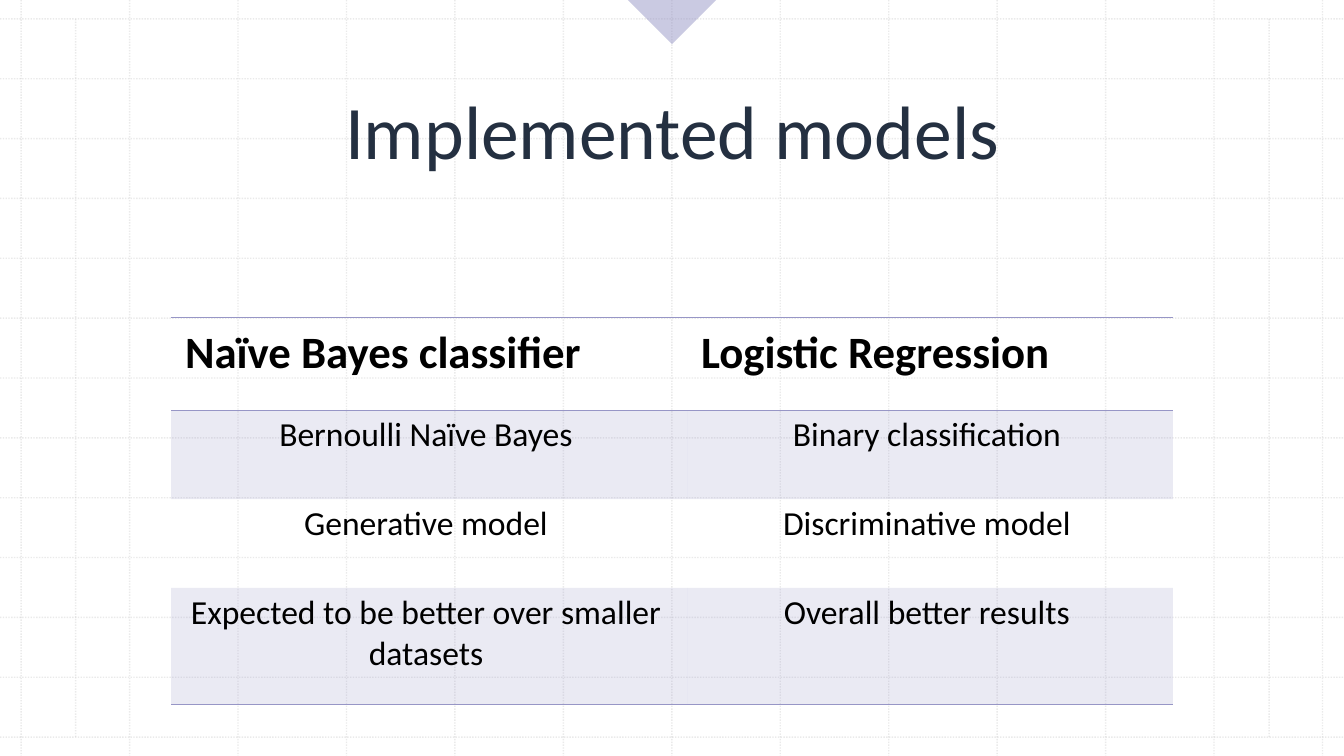
from dataclasses import dataclass
from pptx import Presentation
from pptx import util as u
from pptx.dml.color import RGBColor
from pptx.enum import dml, shapes, text
from pptx.oxml import parse_xml
from pptx.oxml.ns import qn

NS = 'xmlns:a="http://schemas.openxmlformats.org/drawingml/2006/main"'
NO_STYLE = "{2D5ABB26-0587-4C30-8999-92F81FD0307C}"
FONT = "Calibri"
COLORS = {"paper": "FFFFFF", "grid": "BCBCBC", "accent": "9796C6",
          "title": "243041", "text": "000000"}
WIDTH, HEIGHT = 960, 540
LEFT, RIGHT, TOP, BOTTOM = 15.12, 944.64, 13.5, 526.5
STEPS = 12


@dataclass
class GridLine:
    x1: float
    y1: float
    x2: float
    y2: float


@dataclass
class Row:
    height: float
    cells: tuple[str, str]
    header: bool = False
    shaded: bool = False
    borders: str = ""


def color(name: str) -> RGBColor:
    return RGBColor.from_string(COLORS[name])


def set_alpha(fill, percent: int) -> None:
    clr = fill._xPr.find(qn("a:solidFill"))[0]
    clr.append(parse_xml(f'<a:alpha {NS} val="{percent * 1000}"/>'))


def write(tf, content: str, *, size: float, ink: str = "text", bold: bool = False,
          align=text.PP_ALIGN.CENTER) -> None:
    p = tf.paragraphs[0]
    p.alignment = align
    r = p.add_run()
    r.text = content
    r.font.name, r.font.size, r.font.bold = FONT, u.Pt(size), bold
    r.font.color.rgb = color(ink)


def draw_grid_line(s, g: GridLine) -> None:
    sp = s.shapes.add_connector(shapes.MSO_CONNECTOR.STRAIGHT,
                                *map(u.Pt, (g.x1, g.y1, g.x2, g.y2)))
    sp.line.color.rgb = color("grid")
    sp.line.width = u.Pt(1)
    sp.line.dash_style = dml.MSO_LINE.ROUND_DOT
    set_alpha(sp.line.fill, 30)
    sp._element.spPr.append(parse_xml(f"<a:effectLst {NS}/>"))


def draw_marker(s) -> None:
    side = 44.6
    sp = s.shapes.add_shape(shapes.MSO_SHAPE.RIGHT_TRIANGLE, u.Pt((WIDTH - side) / 2),
                            u.Pt(-side / 2), u.Pt(side), u.Pt(side))
    sp.rotation = 315
    sp.shadow.inherit = False
    sp.fill.solid()
    sp.fill.fore_color.rgb = color("accent")
    set_alpha(sp.fill, 50)
    sp.line.fill.background()


def add_border(cell, side: str) -> None:
    cell._tc.get_or_add_tcPr().insert(0, parse_xml(
        f'<a:ln{side} {NS} w="12700"><a:solidFill><a:srgbClr val="{COLORS["accent"]}"/>'
        f'</a:solidFill></a:ln{side}>'))


def fill_cell(cell, content: str, row: Row) -> None:
    cell.margin_left, cell.margin_top = u.Pt(10), u.Pt(3)
    cell.margin_right, cell.margin_bottom = u.Pt(14.4), u.Pt(21.6)
    if row.shaded:
        cell.fill.solid()
        cell.fill.fore_color.rgb = color("accent")
        set_alpha(cell.fill, 20)
    else:
        cell.fill.background()
    for side in row.borders:
        add_border(cell, side)
    if row.header:
        cell.vertical_anchor = text.MSO_ANCHOR.BOTTOM
        write(cell.text_frame, content, size=32, bold=True, align=text.PP_ALIGN.LEFT)
    else:
        cell.vertical_anchor = text.MSO_ANCHOR.TOP
        write(cell.text_frame, content, size=24)


def draw_table(s, rows: list[Row], widths: tuple[float, float]) -> None:
    frame = s.shapes.add_table(len(rows), len(widths), u.Pt(122.2), u.Pt(227),
                               u.Pt(sum(widths)), u.Pt(sum(r.height for r in rows)))
    table = frame.table
    table._tbl.tblPr.find(qn("a:tableStyleId")).text = NO_STYLE
    for column, width in zip(table.columns, widths):
        column.width = u.Pt(width)
    for i, row in enumerate(rows):
        table.rows[i].height = u.Pt(row.height)
        for j, content in enumerate(row.cells):
            fill_cell(table.cell(i, j), content, row)


def place_title(s, content: str) -> None:
    sp = s.shapes.title
    s.shapes._spTree.append(sp._element)
    sp.left, sp.top, sp.width, sp.height = map(u.Pt, (93.6, 43.2, 773.3, 85))
    tf = sp.text_frame
    tf.word_wrap = True
    tf.auto_size = text.MSO_AUTO_SIZE.NONE
    tf.vertical_anchor = text.MSO_ANCHOR.BOTTOM
    write(tf, content, size=54, ink="title")


def main() -> None:
    prs = Presentation()
    prs.slide_width, prs.slide_height = u.Pt(WIDTH), u.Pt(HEIGHT)
    s = prs.slides.add_slide(prs.slide_layouts[5])
    s.background.fill.solid()
    s.background.fill.fore_color.rgb = color("paper")

    xs = [LEFT + i * (RIGHT - LEFT) / STEPS for i in range(STEPS + 1)]
    ys = [TOP + i * (BOTTOM - TOP) / STEPS for i in range(STEPS + 1)]
    grid = [GridLine(x, 0, x, HEIGHT) for x in xs]
    grid += [GridLine(0, y, WIDTH, y) for y in ys]
    grid += [GridLine(x, TOP, x, BOTTOM) for x in (54, 906.5)]
    for g in grid:
        draw_grid_line(s, g)

    draw_marker(s)
    place_title(s, "Implemented models")
    draw_table(s, [
        Row(66.2, ("Naïve Bayes classifier", "Logistic Regression"), header=True, borders="BT"),
        Row(63.4, ("Bernoulli Naïve Bayes", "Binary classification"), shaded=True),
        Row(63.4, ("Generative model", "Discriminative model")),
        Row(82.1, ("Expected to be better over smaller datasets", "Overall better results"),
            shaded=True, borders="B"),
    ], (368.6, 347))
    prs.save("out.pptx")


if __name__ == "__main__":
    main()
